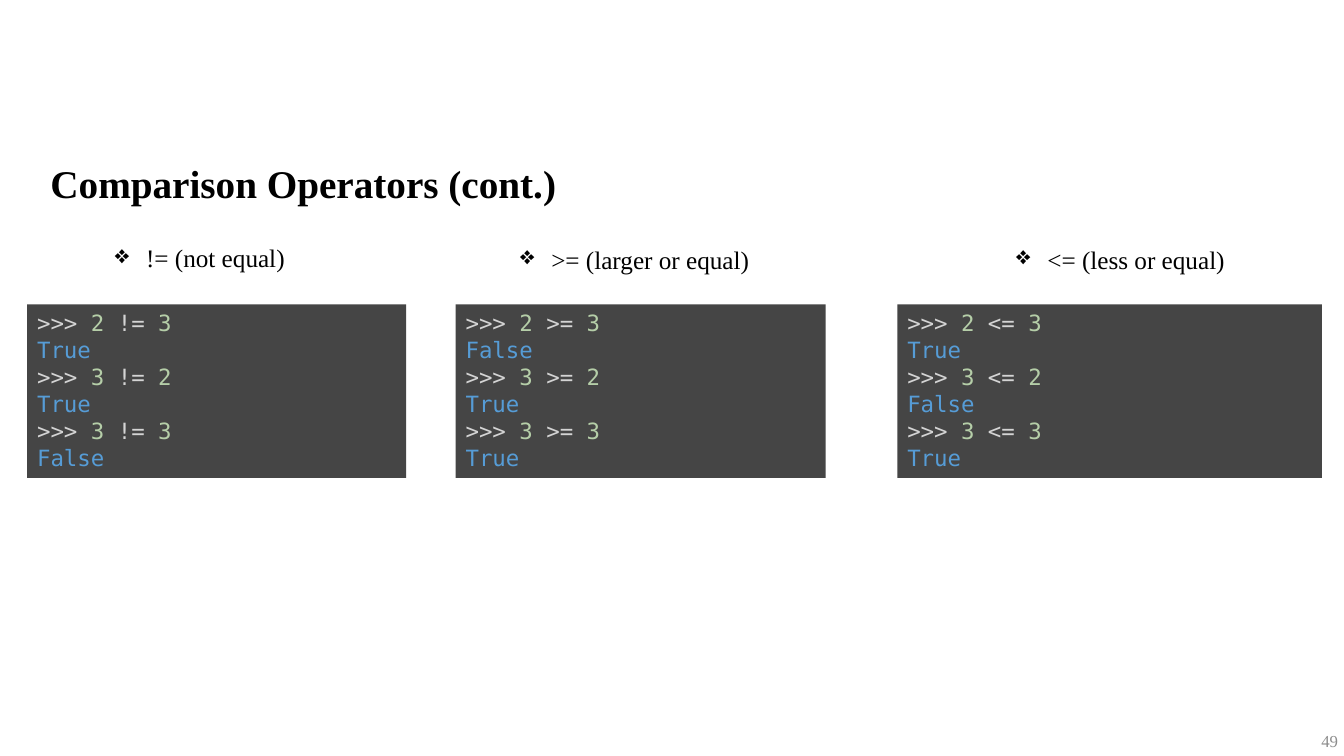
from lxml import etree
from pptx import Presentation
from pptx.dml.color import RGBColor
from pptx.enum.shapes import MSO_SHAPE
from pptx.enum.text import MSO_ANCHOR, MSO_AUTO_SIZE, PP_ALIGN
from pptx.oxml.ns import qn
from pptx.util import Pt

PX = 9144  # EMU per px, 100 px to the inch
RECTANGLE = MSO_SHAPE.RECTANGLE
TOP, MIDDLE = MSO_ANCHOR.TOP, MSO_ANCHOR.MIDDLE
LEFT, RIGHT = PP_ALIGN.LEFT, PP_ALIGN.RIGHT
GROW, FIXED = MSO_AUTO_SIZE.SHAPE_TO_FIT_TEXT, MSO_AUTO_SIZE.NONE

SERIF, MONO = "Times New Roman", "DejaVu Sans Mono"
COLORS = {
    "text": "000000",
    "page number": "8C8C8C",
    "panel": "454545",
    "code": "D4D4D4",
    "number": "B5CEA8",
    "result": "569CD6",
}
OPERANDS = [("2", "3"), ("3", "2"), ("3", "3")]
# operator, meaning, results, heading (left, top, width), panel (left, width)
COMPARISONS = [
    ("!=", "not equal", ["True", "True", "False"], (104, 236, 241), (27, 376)),
    (">=", "larger or equal", ["False", "True", "True"], (506, 237, 304), (452, 367)),
    ("<=", "less or equal", ["True", "False", "True"], (998, 237, 253), (890, 421)),
]


def color(name):
    return RGBColor.from_string(COLORS[name])


def scaled(*lengths):
    return [length * PX for length in lengths]


def add_span(para, text, size=18, font=SERIF, fill="text", bold=False):
    span = para.add_run()
    span.text = text
    span.font.size = Pt(size)
    span.font.name = font
    span.font.bold = bold
    span.font.color.rgb = color(fill)


def prepare_frame(shape, anchor=TOP, auto_size=GROW, align=LEFT):
    """Set up wrapping and alignment, and return the first paragraph."""
    frame = shape.text_frame
    frame.word_wrap = True
    frame.auto_size = auto_size
    frame.vertical_anchor = anchor
    para = frame.paragraphs[0]
    para.alignment = align
    return para


def add_title(page, text):
    title = page.shapes.title
    title.left, title.top, title.width, title.height = scaled(40, 153, 667, 57)
    add_span(prepare_frame(title), text, size=28, bold=True)


def add_bullet(para, symbol, indent):
    properties = para._p.get_or_add_pPr()
    properties.set("marL", str(indent * PX))
    properties.set("indent", str(-indent * PX))
    etree.SubElement(properties, qn("a:buChar")).set("char", symbol)


def add_heading(page, text, left, top, width):
    box = page.shapes.add_textbox(*scaled(left, top, width, 40))
    para = prepare_frame(box)
    add_bullet(para, "❖", 31)
    add_span(para, text)


def add_code_panel(page, operator, results, left, width):
    panel = page.shapes.add_shape(RECTANGLE, *scaled(left, 302, width, 172))
    panel.shadow.inherit = False
    panel.fill.solid()
    panel.fill.fore_color.rgb = color("panel")
    panel.line.fill.background()

    lines = []
    for (first, second), result in zip(OPERANDS, results):
        lines.append([(">>> ", "code"), (first, "number"),
                      (f" {operator} ", "code"), (second, "number")])
        lines.append([(result, "result")])

    para = prepare_frame(panel)
    for index, line in enumerate(lines):
        if index:
            para = panel.text_frame.add_paragraph()
            para.alignment = LEFT
        for text, fill in line:
            add_span(para, text, size=16, font=MONO, fill=fill)


def add_page_number(page, number):
    box = page.shapes.add_textbox(*scaled(1037, 715, 300, 40))
    para = prepare_frame(box, anchor=MIDDLE, auto_size=FIXED, align=RIGHT)
    add_span(para, number, size=12, fill="page number")


def main():
    deck = Presentation()
    deck.slide_width, deck.slide_height = scaled(1333, 750)
    page = deck.slides.add_slide(deck.slide_layouts[5])
    add_title(page, "Comparison Operators (cont.)")
    for operator, meaning, results, heading_place, panel_place in COMPARISONS:
        add_heading(page, f"{operator} ({meaning})", *heading_place)
        add_code_panel(page, operator, results, *panel_place)
    add_page_number(page, "49")
    deck.save("out.pptx")


if __name__ == "__main__":
    main()
